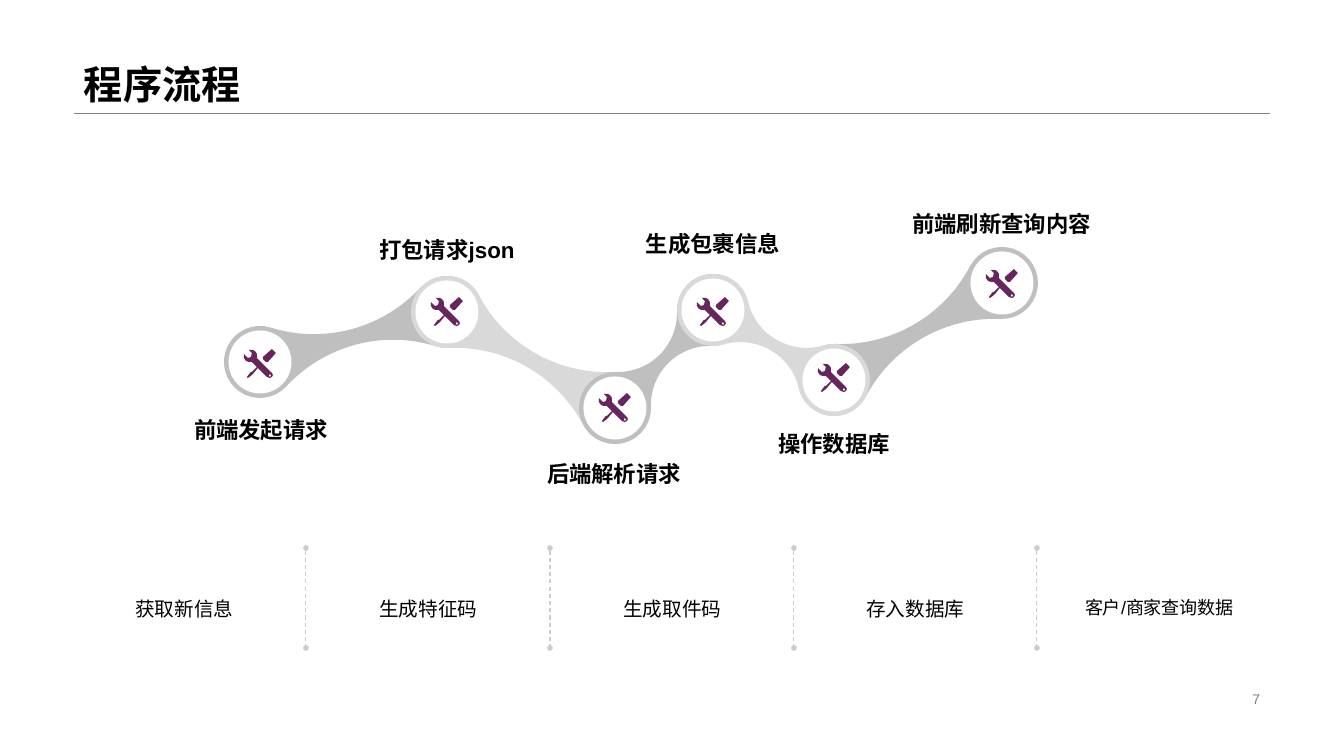
from math import atan2, cos, hypot, pi, sin

from lxml import etree
from pptx import Presentation
from pptx.dml.color import RGBColor
from pptx.enum.dml import MSO_LINE
from pptx.enum.shapes import MSO_CONNECTOR, MSO_SHAPE
from pptx.enum.text import MSO_ANCHOR, PP_ALIGN
from pptx.oxml.ns import qn
from pptx.util import Emu, Pt

PX = 914400 / 100.8
STRAIGHT, ELLIPSE, DASH = MSO_CONNECTOR.STRAIGHT, MSO_SHAPE.OVAL, MSO_LINE.DASH
TOP, MIDDLE, BOTTOM = MSO_ANCHOR.TOP, MSO_ANCHOR.MIDDLE, MSO_ANCHOR.BOTTOM
LEFT, CENTER, RIGHT = PP_ALIGN.LEFT, PP_ALIGN.CENTER, PP_ALIGN.RIGHT
BLACK = RGBColor(0x00, 0x00, 0x00)
WHITE = RGBColor(0xFF, 0xFF, 0xFF)
GRAY = RGBColor(0x80, 0x80, 0x80)
DIVIDER = RGBColor(0xCC, 0xCC, 0xCC)
DARK_LINK = RGBColor(0xBF, 0xBF, 0xBF)
LIGHT_LINK = RGBColor(0xD9, 0xD9, 0xD9)
PURPLE = RGBColor(0x67, 0x24, 0x5D)

prs = Presentation()
prs.slide_width, prs.slide_height = Emu(round(1344 * PX)), Emu(round(756 * PX))
s = prs.slides.add_slide(prs.slide_layouts[6])


def px(*lengths):
    return [Emu(round(n * PX)) for n in lengths]


def add_text(text, box, size, color=BLACK, bold=False, align=CENTER,
             anchor=TOP, spacing=None):
    tf = s.shapes.add_textbox(*px(*box)).text_frame
    tf.word_wrap = True
    tf.vertical_anchor = anchor
    p = tf.paragraphs[0]
    p.alignment = align
    p.line_spacing = spacing
    r = p.add_run()
    r.text = text
    r.font.name, r.font.size, r.font.bold = "Arial", Pt(size), bold
    r.font.color.rgb = color


# Title and page number
add_text("程序流程", (74, 0, 1196, 113), 28, bold=True, align=LEFT,
         anchor=BOTTOM, spacing=0.9)
add_text("7", (950, 687, 320, 23), 10, GRAY, align=RIGHT, anchor=MIDDLE)

# Title rule, then the dotted-end column dividers
COLUMNS = [round(243.75 * i) for i in range(5)]
lines = [(74, 113, 1270, 113)]
lines += [(306 + dx, 548, 306 + dx, 648) for dx in COLUMNS[:4]]
for i, ends in enumerate(lines):
    line = s.shapes.add_connector(STRAIGHT, *px(*ends))
    line.line.color.rgb = DIVIDER if i else GRAY
    line.line.width = Pt(0.75 if i else 0.25)
    if i:
        line.line.dash_style = DASH
        ln = line.line._get_or_add_ln()
        for tag in ("a:headEnd", "a:tailEnd"):
            etree.SubElement(ln, qn(tag), type="oval", w="sm", len="sm")
    etree.SubElement(line._element.spPr, qn("a:effectLst"))

# Links: two circles of radius RING, joined by fillet arcs tangent to both
nodes = [(260, 362), (447, 312), (615, 408), (713, 310), (834, 380), (1002, 283)]
RING, HOLE, STEPS = 36, 63, 24
links = [
    (0, 1, 8, DARK_LINK),
    (1, 2, 8, LIGHT_LINK),
    (2, 3, 6, DARK_LINK),
    (4, 5, 8, DARK_LINK),
    (3, 4, 6, LIGHT_LINK),
]
filled = []
for start, end, neck, color in links:
    (x1, y1), (x2, y2) = nodes[start], nodes[end]
    half = hypot(x2 - x1, y2 - y1) / 2
    turn = atan2(y2 - y1, x2 - x1)
    fillet = (half ** 2 + neck ** 2 - RING ** 2) / (2 * (RING - neck))
    rise = fillet + neck
    beta = atan2(rise, half)
    arcs = [
        (-half, 0, RING, beta, 2 * pi - beta),
        (0, -rise, fillet, pi - beta, beta),
        (half, 0, RING, beta - pi, pi - beta),
        (0, rise, fillet, -beta, beta - pi),
    ]
    outline = []
    for cx, cy, radius, a0, a1 in arcs:
        for i in range(STEPS):
            a = a0 + (a1 - a0) * i / STEPS
            u, v = cx + radius * cos(a), cy + radius * sin(a)
            outline.append(px((x1 + x2) / 2 + u * cos(turn) - v * sin(turn),
                              (y1 + y2) / 2 + u * sin(turn) + v * cos(turn)))
    fb = s.shapes.build_freeform(*outline[0])
    fb.add_line_segments(outline[1:], close=True)
    filled.append((fb.convert_to_shape(), color))

# White centre of each node
for x, y in nodes:
    hole = s.shapes.add_shape(ELLIPSE, *px(x - HOLE / 2, y - HOLE / 2, HOLE, HOLE))
    filled.append((hole, WHITE))

# Tool icons: wrench with its eyelet, screwdriver blade, handle
tool_outlines = [
    [(6, 1), (9, 1), (11, 2), (13, 5), (13, 9), (28, 24), (29, 26), (28, 28),
     (26, 29), (23, 28), (8, 13), (5, 13), (2, 12), (0, 9), (0, 5), (4, 9),
     (7, 8), (8, 4), (5, 1)],
    [(26, 25), (25, 26), (25, 27), (26, 28), (27, 27), (27, 26)],
    [(13, 18), (14, 19), (9, 25), (8, 26), (4, 29), (3, 28), (6, 24), (7, 23), (8, 23)],
    [(28, 0), (32, 4), (24, 13), (22, 13), (19, 10), (19, 8)],
]
icon_tops = [349, 297, 393, 297, 363, 269]
for (x, y), top in zip(nodes, icon_tops):
    contours = [[px(x - 16 + dx, top + dy) for dx, dy in pts] for pts in tool_outlines]
    fb = s.shapes.build_freeform(*contours[0][0])
    for i, pts in enumerate(contours):
        if i:
            fb.move_to(*pts[0])
        fb.add_line_segments(pts[1:], close=True)
    filled.append((fb.convert_to_shape(), PURPLE))

for sp, color in filled:
    sp.shadow.inherit = False
    sp.fill.solid()
    sp.fill.fore_color.rgb = color
    sp.line.fill.background()

# Step labels
steps = [
    ("前端发起请求", (169, 404, 184, 48), MIDDLE),
    ("后端解析请求", (522, 448, 184, 48), MIDDLE),
    ("操作数据库", (742, 418, 184, 48), MIDDLE),
    ("打包请求json", (369, 229, 156, 38), TOP),
    ("生成包裹信息", (634, 223, 158, 38), TOP),
    ("前端刷新查询内容", (900, 203, 203, 38), TOP),
]
for text, box, anchor in steps:
    add_text(text, box, 16, bold=True, anchor=anchor, spacing=1.1)

# Column captions
captions = [
    ("获取新信息", 14),
    ("生成特征码", 14),
    ("生成取件码", 14),
    ("存入数据库", 14),
    ("客户/商家查询数据", 12.9),
]
for dx, (text, size) in zip(COLUMNS, captions):
    add_text(text, (96 + dx, 592, 177, 34), size)

prs.save("out.pptx")
